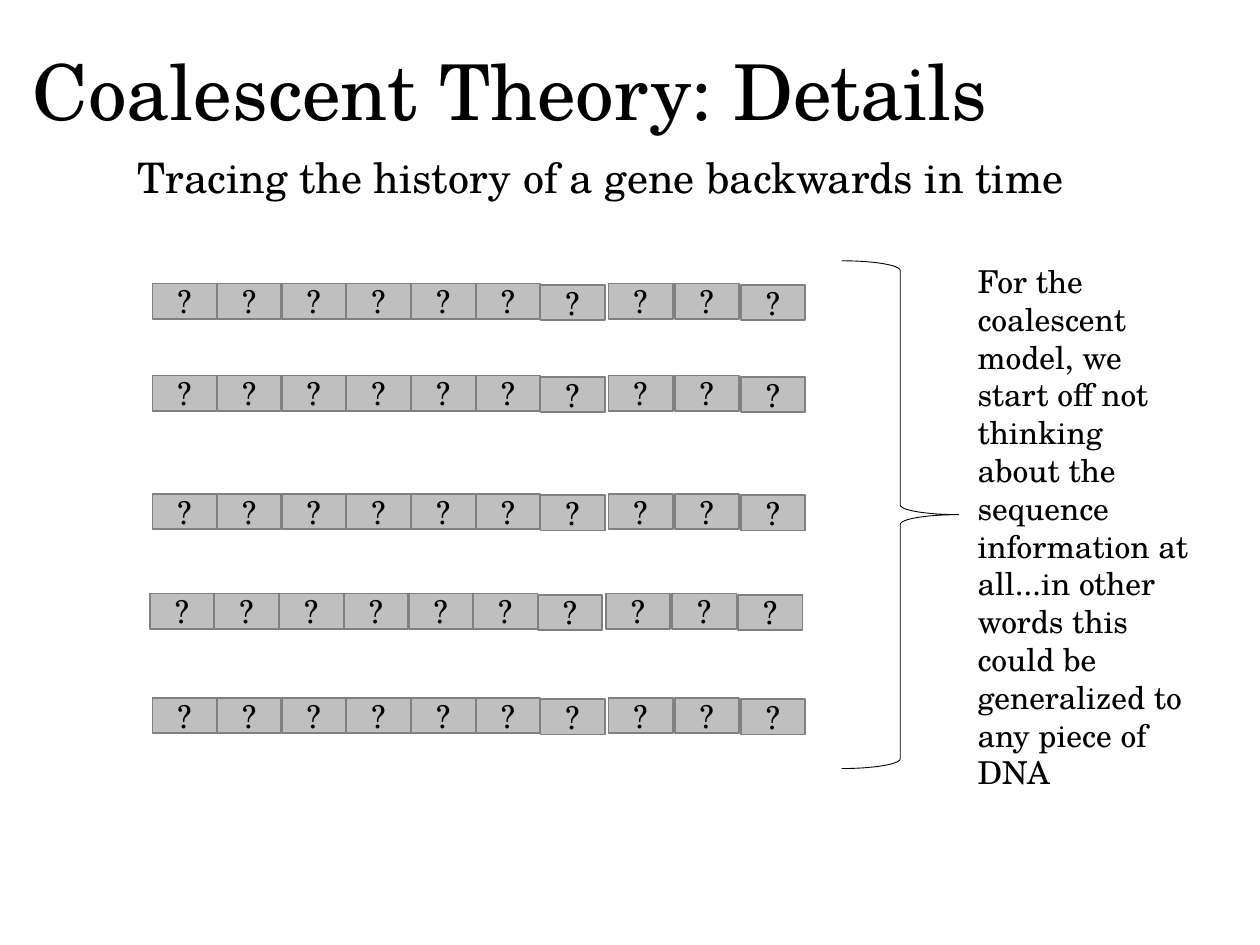
"""Build the coalescent theory slide with rows of unknown gene sequences."""
from dataclasses import dataclass

from pptx import Presentation
from pptx.dml.color import RGBColor
from pptx.enum.shapes import MSO_SHAPE
from pptx.enum.text import MSO_ANCHOR, MSO_AUTO_SIZE, PP_ALIGN
from pptx.util import Inches, Pt


@dataclass(frozen=True)
class Theme:
    font: str = "TeX Gyre Schola"
    ink: RGBColor = RGBColor(0x00, 0x00, 0x00)
    cell_fill: RGBColor = RGBColor(0xBF, 0xBF, 0xBF)
    cell_line: RGBColor = RGBColor(0x80, 0x80, 0x80)
    title_size: int = 44
    subtitle_size: int = 24
    body_size: int = 18


THEME = Theme()
TITLE = "Coalescent Theory: Details"
SUBTITLE = "Tracing the history of a gene backwards in time"
NOTE = (
    "For the coalescent model, we start off not thinking about the sequence "
    "information at all...in other words this could be generalized to any piece of DNA"
)
SITES = "?" * 10
SEQUENCES = [(1.21, 2.25), (1.21, 2.98), (1.21, 3.92), (1.19, 4.71), (1.21, 5.54)]
CELL_WIDTH, CELL_HEIGHT = 0.51, 0.28
FIRST_BLOCK = 7
LOWERED_SITES = {6, 9}
DRAW_ORDER = [0, 1, *range(9, 1, -1)]


def site_offset(site):
    if site < FIRST_BLOCK:
        return site * 3.08 / (FIRST_BLOCK - 1)
    return 3.62 + (site - FIRST_BLOCK) * 1.05 / 2


def write(box, text, size=THEME.body_size, align=PP_ALIGN.LEFT,
          anchor=MSO_ANCHOR.TOP, wrap=True, fit=MSO_AUTO_SIZE.NONE, spacing=None):
    frame = box.text_frame
    frame.word_wrap = wrap
    frame.auto_size = fit
    frame.vertical_anchor = anchor
    para = frame.paragraphs[0]
    para.alignment = align
    para.line_spacing = spacing
    span = para.add_run()
    span.text = text
    span.font.name = THEME.font
    span.font.size = Pt(size)
    span.font.color.rgb = THEME.ink


def add_sequence(page, left, top):
    group = page.shapes.add_group_shape()
    for site in DRAW_ORDER:
        drop = 0.01 if site in LOWERED_SITES else 0
        cell = group.shapes.add_shape(
            MSO_SHAPE.RECTANGLE, Inches(left + site_offset(site)),
            Inches(top + drop), Inches(CELL_WIDTH), Inches(CELL_HEIGHT))
        cell.shadow.inherit = False
        cell.fill.solid()
        cell.fill.fore_color.rgb = THEME.cell_fill
        cell.line.color.rgb = THEME.cell_line
        cell.line.width = Pt(1)
        write(cell, SITES[site], align=PP_ALIGN.CENTER, anchor=MSO_ANCHOR.MIDDLE)


def add_brace(page):
    brace = page.shapes.add_shape(
        MSO_SHAPE.RIGHT_BRACE, Inches(6.68), Inches(2.07), Inches(0.93), Inches(4.03))
    brace.shadow.inherit = False
    brace.fill.background()
    brace.line.color.rgb = THEME.ink
    brace.line.width = Pt(0.5)


def main():
    deck = Presentation()
    deck.slide_width, deck.slide_height = Inches(10), Inches(7.5)
    page = deck.slides.add_slide(deck.slide_layouts.get_by_name("Title Only"))

    title = page.shapes.title
    title.left, title.top = Inches(0.16), Inches(0.16)
    title.width, title.height = Inches(8.62), Inches(1.19)
    write(title, TITLE, size=THEME.title_size, anchor=MSO_ANCHOR.MIDDLE, spacing=0.9)

    subtitle = page.shapes.add_textbox(Inches(0.99), Inches(1.15), Inches(7.62), Inches(0.5))
    write(subtitle, SUBTITLE, size=THEME.subtitle_size, wrap=False,
          fit=MSO_AUTO_SIZE.SHAPE_TO_FIT_TEXT)

    for left, top in SEQUENCES:
        add_sequence(page, left, top)
    add_brace(page)

    note = page.shapes.add_textbox(Inches(7.66), Inches(2.03), Inches(1.88), Inches(4.34))
    write(note, NOTE, fit=MSO_AUTO_SIZE.SHAPE_TO_FIT_TEXT)

    deck.save("out.pptx")


if __name__ == "__main__":
    main()
